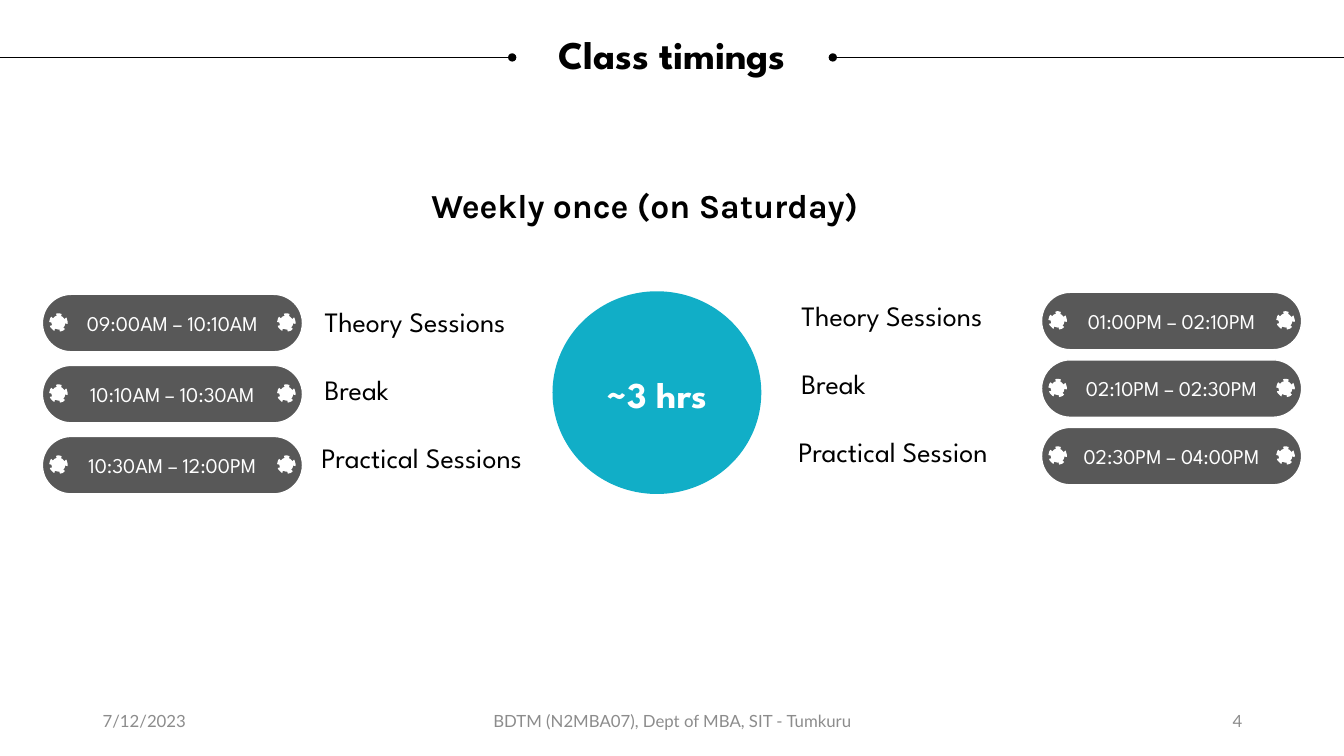
from pptx import Presentation, util as u
from pptx.dml.color import RGBColor
from pptx.enum import dml, shapes, text
from pptx.oxml.ns import qn
from lxml import etree

BLACK = RGBColor(0x00, 0x00, 0x00)
WHITE = RGBColor(0xFF, 0xFF, 0xFF)
GREY = RGBColor(0x8C, 0x8C, 0x8C)
DARK = RGBColor(0x58, 0x58, 0x58)
TEAL = RGBColor(0x11, 0xAE, 0xC7)

# Content
TITLE = "Class timings"
HEAD = "Weekly once (on Saturday)"
HOURS = "~3 hrs"
MORNING = [("09:00AM – 10:10AM", "Theory Sessions"),
           ("10:10AM – 10:30AM", "Break"),
           ("10:30AM – 12:00PM", "Practical Sessions")]
NOON = [("01:00PM – 02:10PM", "Theory Sessions"),
        ("02:10PM – 02:30PM", "Break"),
        ("02:30PM – 04:00PM", "Practical Session")]
# rows, pill left, pill top, pill step, label left, label top
SIDES = [(MORNING, 0.42, 2.92, 0.705, 3.12, 3.01),
         (NOON, 10.33, 2.9, 0.67, 7.85, 2.95)]
LEFT, MID, RIGHT = text.PP_ALIGN.LEFT, text.PP_ALIGN.CENTER, text.PP_ALIGN.RIGHT
FOOT = [("7/12/2023", 0.92, 3, LEFT),
        ("BDTM (N2MBA07), Dept of MBA, SIT - Tumkuru", 4.42, 4.5, MID),
        ("4", 9.42, 3, RIGHT)]

# Formats
WIDE, TALL = 13.33, 7.5
PILL_W, PILL_H, DOT = 2.58, 0.57, 0.14
LABEL_STEP, INDENT = 0.675, 0.03
SPARTAN = "League Spartan"
TIGHT = {"line_spacing": 0.9, "space_before": u.Pt(10)}

deck = Presentation()
deck.slide_width, deck.slide_height = u.Inches(WIDE), u.Inches(TALL)
slide = deck.slides.add_slide(deck.slide_layouts[6])


def box(*nums):
    return [u.Inches(n) for n in nums]


def write(shape, words, size, font, color, align=LEFT, bold=False,
          anchor=text.MSO_ANCHOR.TOP, para=None, inset=None):
    frame = shape.text_frame
    frame.word_wrap, frame.vertical_anchor = True, anchor
    if inset is not None:
        for side in ("left", "top", "right", "bottom"):
            setattr(frame, "margin_" + side, u.Inches(inset))
    line = frame.paragraphs[0]
    for key, val in {"alignment": align, **(para or {})}.items():
        setattr(line, key, val)
    run = line.add_run()
    run.text = words
    look = {"size": u.Pt(size), "name": font, "bold": bold}
    for key, val in look.items():
        setattr(run.font, key, val)
    run.font.color.rgb = color


def draw(home, kind, place, fill, edge, width):
    shape = home.add_shape(kind, *box(*place))
    shape.shadow.inherit = False
    shape.fill.solid()
    shape.fill.fore_color.rgb = fill
    shape.line.color.rgb = edge
    shape.line.width = u.Pt(width)
    return shape


# Footer
for words, x, w, align in FOOT:
    write(slide.shapes.add_textbox(*box(x, 6.95, w, 0.4)), words, 12, "Lato",
          GREY, align, anchor=text.MSO_ANCHOR.MIDDLE)

# Title between two lines that end in a dot
for start, end in ((0, 5.08), (WIDE, 8.26)):
    rule = slide.shapes.add_connector(shapes.MSO_CONNECTOR.STRAIGHT,
                                      *box(start, 0.57, end, 0.57))
    rule.line.color.rgb, rule.line.width = BLACK, u.Pt(0.5)
    etree.SubElement(rule.line._get_or_add_ln(), qn("a:tailEnd"), type="oval")
    etree.SubElement(rule._element.spPr, qn("a:effectLst"))
write(slide.shapes.add_textbox(*box(0.25, 0.35, 12.83, 0.85)), TITLE, 28,
      SPARTAN, BLACK, MID, True, para={"line_spacing": 0.9}, inset=0)

# Hours circle and heading
OVAL = shapes.MSO_SHAPE.OVAL
disc = draw(slide.shapes, OVAL, (5.49, 2.9, 2.05, 1.99), TEAL, TEAL, 1.5)
write(disc, HOURS, 26, SPARTAN, WHITE, MID, True, text.MSO_ANCHOR.MIDDLE,
      {"line_spacing": 1.06}, 0.1)
write(slide.shapes.add_textbox(*box(2.59, 1.83, 7.61, 0.51)), HEAD, 24,
      "Karla", BLACK, MID, True, para=TIGHT)

# Time pills with their labels
for rows, left, top, step, label_x, label_y in SIDES:
    home = slide.shapes.add_group_shape().shapes
    for i, (time, label) in enumerate(rows):
        y = top + i * step
        pill = draw(home, shapes.MSO_SHAPE.ROUNDED_RECTANGLE,
                    (left, y, PILL_W, PILL_H), DARK, WHITE, 1)
        pill.adjustments[0] = 0.5
        write(pill, time, 15, SPARTAN, WHITE, MID,
              anchor=text.MSO_ANCHOR.MIDDLE)
        for x in (left + 0.09, left + 2.35):
            dot = draw(home, OVAL, (x, y + 0.21, DOT, DOT), WHITE, WHITE, 3.25)
            dot.line.dash_style = dml.MSO_LINE.ROUND_DOT
        x = label_x - (INDENT if i == 2 else 0)
        write(home.add_textbox(*box(x, label_y + i * LABEL_STEP, 2.55, 0.51)),
              label, 20, SPARTAN, BLACK, para=TIGHT)

deck.save("out.pptx")
